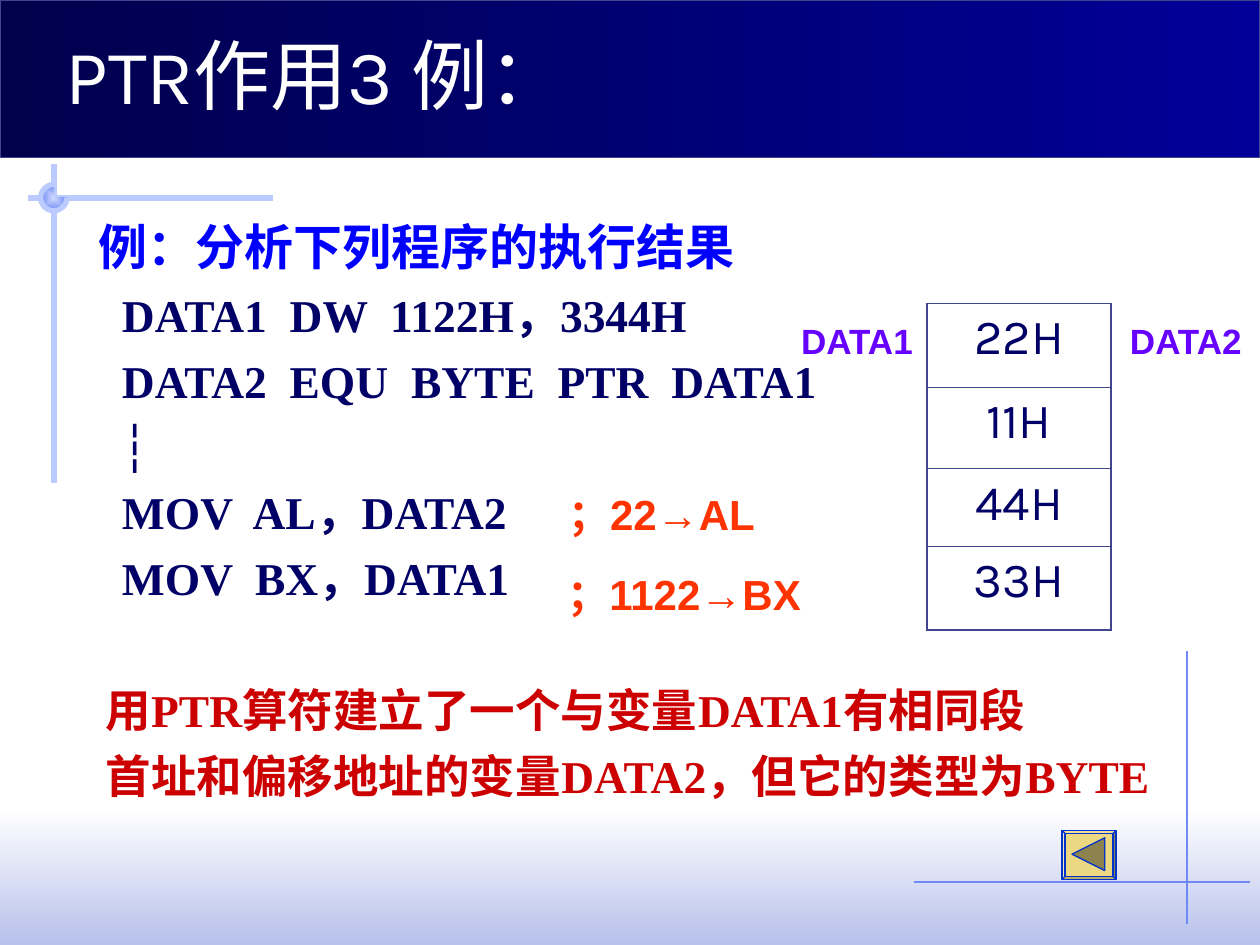
from dataclasses import dataclass

from lxml import etree
from pptx import Presentation
from pptx.dml.color import RGBColor
from pptx.enum.shapes import MSO_CONNECTOR, MSO_SHAPE
from pptx.enum.text import MSO_ANCHOR, PP_ALIGN
from pptx.oxml import parse_xml
from pptx.oxml.ns import nsdecls, qn
from pptx.util import Cm, Pt

RECTANGLE, BEVEL = MSO_SHAPE.RECTANGLE, MSO_SHAPE.BEVEL
PIE, ARC = MSO_SHAPE.PIE, MSO_SHAPE.ARC
STRAIGHT = MSO_CONNECTOR.STRAIGHT
LEFT, CENTER = PP_ALIGN.LEFT, PP_ALIGN.CENTER
TOP, BOTTOM = MSO_ANCHOR.TOP, MSO_ANCHOR.BOTTOM


@dataclass(frozen=True)
class Theme:
    display: str = "Karla"
    serif: str = "Times New Roman"
    sans: str = "Arial"
    title_size: float = 44
    heading_size: float = 28
    body_size: float = 26
    comment_size: float = 24
    label_size: float = 20
    white: str = "FFFFFF"
    navy: str = "000066"
    blue: str = "0000FF"
    red: str = "CC0000"
    orange: str = "FF3300"
    violet: str = "6600FF"
    border: str = "40458C"
    bar_light: str = "000099"
    bar_dark: str = "00004C"
    band: str = "B7C1EB"
    thin_rule: str = "6F89F7"
    thick_rule: str = "BBCBFD"
    node: str = "CFDBFD"
    button: str = "ECD882"
    button_arrow: str = "8E824E"
    button_line: str = "0033CC"


@dataclass(frozen=True)
class Box:
    """A region in centimetres."""
    left: float
    top: float
    width: float
    height: float

    def lengths(self):
        return [Cm(value) for value in (self.left, self.top, self.width, self.height)]


THEME = Theme()


def color(value):
    return RGBColor.from_string(value)


def set_line(line, value, width):
    line.color.rgb = color(value)
    line.width = Pt(width)


def add_shape(slide, kind, box):
    shape = slide.shapes.add_shape(kind, *box.lengths())
    shape.shadow.inherit = False
    shape.fill.background()
    shape.line.fill.background()
    return shape


def set_gradient(shape, start, end, angle):
    shape.fill.gradient()
    shape.fill.gradient_angle = angle
    for stop, value, position in zip(shape.fill.gradient_stops, (start, end), (0, 1)):
        stop.color.rgb = color(value)
        stop.position = position


def add_rule(slide, x1, y1, x2, y2, value, width):
    rule = slide.shapes.add_connector(STRAIGHT, Cm(x1), Cm(y1), Cm(x2), Cm(y2))
    set_line(rule.line, value, width)
    etree.SubElement(rule._element.spPr, qn("a:effectLst"))


def style(paragraph, text, name, size, value, bold=False, align=LEFT):
    paragraph.text = text
    paragraph.alignment = align
    font = paragraph.font
    font.name, font.size, font.bold = name, Pt(size), bold
    font.color.rgb = color(value)


def add_text(slide, box, anchor=TOP, wrap=True):
    frame = slide.shapes.add_textbox(*box.lengths()).text_frame
    frame.word_wrap = wrap
    frame.vertical_anchor = anchor
    return frame


def add_bottom_band(slide, box):
    band = add_shape(slide, RECTANGLE, box)
    set_gradient(band, THEME.white, THEME.band, 270)


def add_corner_cross(slide, box, across, down, value, width):
    """Two crossing rules; across and down locate the crossing inside the box."""
    x, y = box.left + across, box.top + down
    add_rule(slide, box.left, y, box.left + box.width, y, value, width)
    add_rule(slide, x, box.top, x, box.top + box.height, value, width)


def add_node(slide, box):
    """Three-quarter disc whose outline follows only the arc."""
    disc = add_shape(slide, PIE, box)
    set_gradient(disc, THEME.node, THEME.thin_rule, 0)
    gradient = disc._element.spPr.find(qn("a:gradFill"))
    gradient.replace(gradient.find(qn("a:lin")), parse_xml(
        f'<a:path {nsdecls("a")} path="rect">'
        '<a:fillToRect l="50000" t="50000" r="50000" b="50000"/></a:path>'))
    arc = add_shape(slide, ARC, box)
    arc.adjustments[0], arc.adjustments[1] = 0, 162
    set_line(arc.line, THEME.thick_rule, 3)


def add_title(slide, box):
    bar = add_shape(slide, RECTANGLE, box)
    set_gradient(bar, THEME.bar_light, THEME.bar_dark, 180)
    set_line(bar.line, THEME.border, 0.75)
    frame = add_text(slide, Box(box.left + 1.07, box.top + 0.2, 21.59, 2.34), BOTTOM)
    style(frame.paragraphs[0], "PTR作用3 例：", THEME.display, THEME.title_size, THEME.white)


def add_body(slide, box):
    heading, code, conclusion = (
        (THEME.heading_size, THEME.blue, 0.66),
        (THEME.body_size, THEME.navy, 1.14),
        (THEME.body_size, THEME.red, 0.81),
    )
    lines = [
        ("例：分析下列程序的执行结果", heading, 0),
        ("DATA1  DW  1122H，3344H", code, 6.5),
        ("DATA2  EQU  BYTE  PTR  DATA1", code, 6.5),
        ("┆", code, 6.5),
        ("MOV  AL，DATA2", code, 6.5),
        ("MOV  BX，DATA1", code, 6.5),
        ("用PTR算符建立了一个与变量DATA1有相同段", conclusion, 44),
        ("首址和偏移地址的变量DATA2，但它的类型为BYTE", conclusion, 6.5),
    ]
    frame = add_text(slide, box)
    for index, (text, (size, value, indent), before) in enumerate(lines):
        paragraph = frame.add_paragraph() if index else frame.paragraphs[0]
        paragraph._p.get_or_add_pPr().set("marL", str(Cm(indent)))
        style(paragraph, text, THEME.serif, size, value, bold=True)
        paragraph.space_before = Pt(before)


def set_borders(cell, widths):
    """Draw the sides of a cell; widths maps L, R, T and B to points."""
    properties = cell._tc.get_or_add_tcPr()
    for index, (side, width) in enumerate(widths.items()):
        properties.insert(index, parse_xml(
            f'<a:ln{side} {nsdecls("a")} w="{Pt(width)}"><a:solidFill>'
            f'<a:srgbClr val="{THEME.border}"/></a:solidFill></a:ln{side}>'))


def add_memory(slide, box):
    """Table of memory bytes with a variable name on each side."""
    values, heights = ["22H", "11H", "44H", "33H"], [1.68, 1.65, 1.57, 1.68]
    table = slide.shapes.add_table(len(values), 1, *box.lengths()).table
    table.first_row = table.horz_banding = False
    outer, inner, last = 1.08, 0.45, len(values) - 1
    for index, (value, height) in enumerate(zip(values, heights)):
        table.rows[index].height = Cm(height)
        cell = table.cell(index, 0)
        cell.fill.background()
        style(cell.text_frame.paragraphs[0], value, THEME.display,
              THEME.heading_size, THEME.navy, align=CENTER)
        set_borders(cell, {"L": outer, "R": outer, "T": inner if index else outer,
                           "B": outer if index == last else inner})
    for text, offset in (("DATA1", -2.79), ("DATA2", 3.84)):
        frame = add_text(slide, Box(box.left + offset, box.top + 0.2, 2.87, 1.12), wrap=False)
        style(frame.paragraphs[0], text, THEME.sans, THEME.label_size, THEME.violet, bold=True)


def add_comment(slide, box, text):
    frame = add_text(slide, box)
    style(frame.paragraphs[0], text, THEME.sans, THEME.comment_size,
          THEME.orange, bold=True, align=CENTER)


def add_back_button(slide, box):
    bevel = add_shape(slide, BEVEL, box)
    bevel.adjustments[0] = 0.06
    builder = slide.shapes.build_freeform(Cm(box.left + 0.2), Cm(box.top + 0.48))
    builder.add_line_segments([(Cm(box.left + 0.86), Cm(box.top + y)) for y in (0.15, 0.81)])
    arrow = builder.convert_to_shape()
    arrow.shadow.inherit = False
    for shape, value in ((bevel, THEME.button), (arrow, THEME.button_arrow)):
        shape.fill.solid()
        shape.fill.fore_color.rgb = color(value)
        set_line(shape.line, THEME.button_line, 0.75)


def main():
    presentation = Presentation()
    presentation.slide_width, presentation.slide_height = Cm(25.4), Cm(19.05)
    slide = presentation.slides.add_slide(presentation.slide_layouts[6])
    add_bottom_band(slide, Box(0, 16.31, 25.4, 2.74))
    add_corner_cross(slide, Box(18.42, 13.13, 6.78, 5.49), 5.51, 4.65, THEME.thin_rule, 0.75)
    add_corner_cross(slide, Box(0.56, 3.3, 4.95, 6.43), 0.53, 0.69, THEME.thick_rule, 3)
    add_node(slide, Box(0.82, 3.72, 0.53, 0.53))
    add_title(slide, Box(0, 0, 25.4, 3.18))
    add_body(slide, Box(1.07, 4.24, 23.29, 12.5))
    add_memory(slide, Box(18.69, 6.12, 3.71, 6.58))
    add_back_button(slide, Box(21.41, 16.74, 1.09, 0.99))
    add_comment(slide, Box(11, 9.73, 4.67, 1.27), "；22→AL")
    add_comment(slide, Box(10.49, 11.33, 6.6, 1.27), "；1122→BX")
    presentation.save("out.pptx")


if __name__ == "__main__":
    main()
